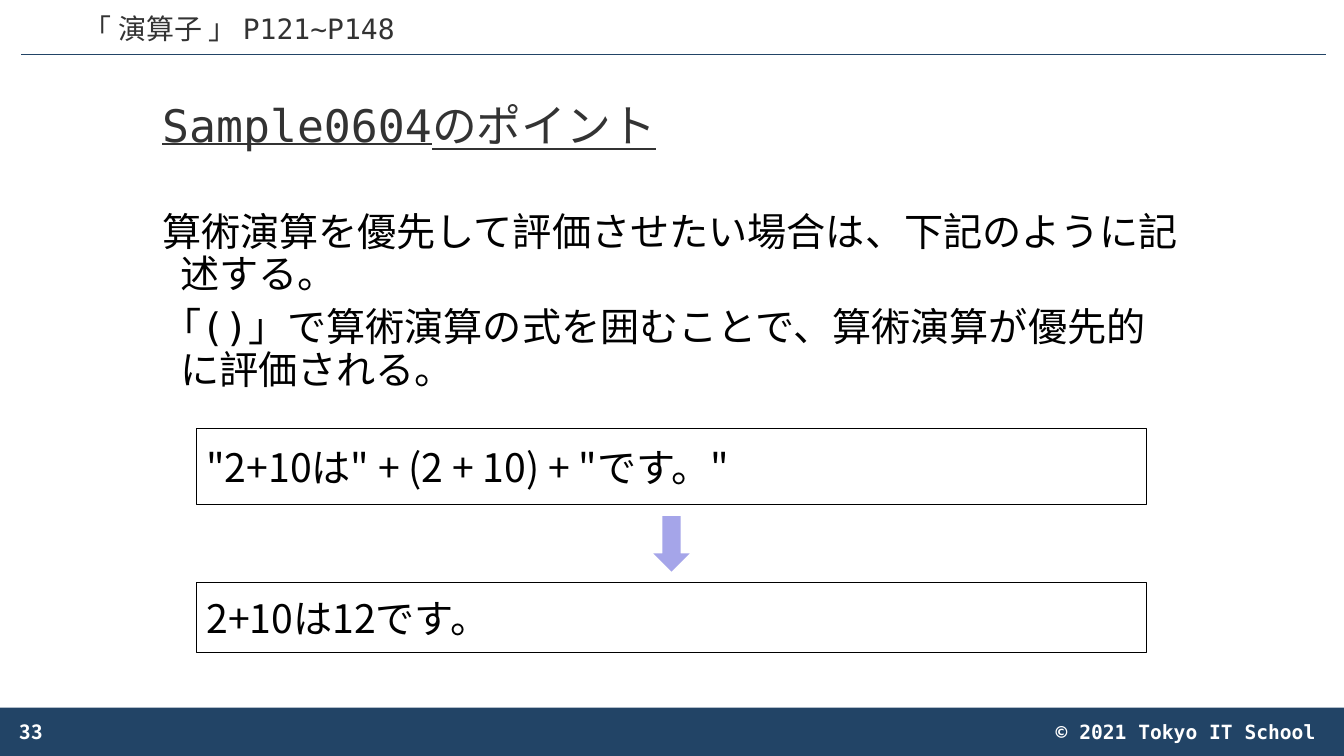
import dataclasses

import pptx
import pptx.dml.color
import pptx.enum.shapes
import pptx.enum.text
import pptx.oxml
import pptx.oxml.ns
import pptx.util

COLOURS = {"navy": "224466", "ink": "333333", "black": "000000",
           "white": "FFFFFF", "lilac": "A5A5E9"}
MONO, GOTHIC = "DejaVu Sans Mono", "Noto Sans CJK JP"
SHAPE = pptx.enum.shapes.MSO_SHAPE
ALIGN = pptx.enum.text.PP_ALIGN
ANCHOR = pptx.enum.text.MSO_ANCHOR


@dataclasses.dataclass
class Box:
    left: float
    top: float
    width: float
    height: float

    def inner(self, left, top, width, height):
        """Return an inner box given in percent of this one."""
        return Box(self.left + self.width * left / 100,
                   self.top + self.height * top / 100,
                   self.width * width / 100, self.height * height / 100)

    def place(self):
        return [round(length) for length in dataclasses.astuple(self)]


def colour(name):
    return pptx.dml.color.RGBColor.from_string(COLOURS[name])


def write(shape, lines, font, anchor=ANCHOR.MIDDLE, **para_format):
    frame = shape.text_frame
    frame_format = {"word_wrap": True, "vertical_anchor": anchor,
                    "auto_size": pptx.enum.text.MSO_AUTO_SIZE.NONE}
    for name, value in frame_format.items():
        setattr(frame, name, value)
    frame.text = "\n".join(lines)
    for para in frame.paragraphs:
        for name, value in para_format.items():
            setattr(para, name, value)
        for span in para.runs:
            for name, value in font.items():
                if name == "color":
                    span.font.color.rgb = colour(value)
                else:
                    setattr(span.font, name, value)
            east_asian = pptx.oxml.parse_xml(
                f'<a:ea {pptx.oxml.ns.nsdecls("a")} typeface="{GOTHIC}"/>')
            span.font._element.find(pptx.oxml.ns.qn("a:latin")).addnext(east_asian)


def font_of(size, color, name=MONO, **extra):
    return {"size": pptx.util.Pt(size), "color": color, "name": name, **extra}


def add_text(page, box, lines, font, **text_format):
    shape = page.shapes.add_textbox(*box.place())
    write(shape, lines, font, **text_format)
    return shape


def add_block(page, box, kind, fill=None, line=None):
    shape = page.shapes.add_shape(kind, *box.place())
    shape.shadow.inherit = False
    if fill:
        shape.fill.solid()
        shape.fill.fore_color.rgb = colour(fill)
    else:
        shape.fill.background()
    if line:
        shape.line.color.rgb = colour(line)
        shape.line.width = pptx.util.Pt(0.75)
    else:
        shape.line.fill.background()
    return shape


def add_header(page, box, label):
    left, top, width, _ = box.inner(1.57, 100, 97.08, 0).place()
    rule = page.shapes.add_connector(
        pptx.enum.shapes.MSO_CONNECTOR.STRAIGHT, left, top, left + width, top)
    rule.line.color.rgb = colour("navy")
    rule.line.width = pptx.util.Pt(0.5)
    rule._element.spPr.append(pptx.oxml.parse_xml(
        f'<a:effectLst {pptx.oxml.ns.nsdecls("a")}/>'))
    add_text(page, box.inner(0, 0, 35.61, 92.6), [label], font_of(20, "ink"),
             anchor=ANCHOR.BOTTOM, alignment=ALIGN.CENTER, line_spacing=0.9)


def add_title(page, box, text):
    title = page.shapes.title
    for name, length in zip(("left", "top", "width", "height"), box.place()):
        setattr(title, name, length)
    write(title, [text], font_of(32, "ink", underline=True),
          alignment=ALIGN.LEFT, line_spacing=0.9)


def add_points(page, box, points):
    shape = add_text(page, box, points, font_of(28, "black"),
                     anchor=ANCHOR.TOP, line_spacing=0.9)
    hang = pptx.util.Inches(0.18)
    for para in shape.text_frame.paragraphs:
        properties = para._p.get_or_add_pPr()
        properties.set("marL", str(hang))
        properties.set("indent", str(-hang))
    for para in shape.text_frame.paragraphs[1:]:
        para.space_before = pptx.util.Pt(7.5)


def add_example(page, box, code, result):
    """Show a code box above its result, with an arrow between them."""
    for text, top, height in ((code, 0, 34.23), (result, 68.92, 31.08)):
        frame = add_block(page, box.inner(0, top, 100, height),
                          SHAPE.RECTANGLE, line="black")
        write(frame, [text], font_of(28, "black", GOTHIC), alignment=ALIGN.LEFT)
    add_block(page, box.inner(48.09, 39.19, 3.82, 24.77),
              SHAPE.DOWN_ARROW, fill="lilac")


def add_footer(page, box, number, notice):
    add_block(page, box, SHAPE.RECTANGLE, fill="navy")
    add_text(page, box.inner(0.75, 8.33, 22.49, 83.33), [number],
             font_of(14, "white", GOTHIC, bold=True))
    add_text(page, box.inner(62.52, 14.58, 36.13, 70.83), [notice],
             font_of(14, "white", bold=True),
             anchor=ANCHOR.TOP, alignment=ALIGN.RIGHT)


def main():
    deck = pptx.Presentation()
    deck.slide_width = pptx.util.Inches(13.34)
    deck.slide_height = pptx.util.Inches(7.5)
    page = deck.slides.add_slide(deck.slide_layouts.get_by_name("Title Only"))
    whole = Box(0, 0, deck.slide_width, deck.slide_height)

    add_footer(page, whole.inner(0, 93.6, 100, 6.4), "33", "© 2021 Tokyo IT School")
    add_header(page, whole.inner(0, 0, 100, 7.2), "「 演算子 」 P121~P148")
    add_title(page, whole.inner(11.32, 9.07, 77.36, 15.6), "Sample0604のポイント")
    add_points(page, whole.inner(11.32, 27.47, 77.36, 63.47), [
        "算術演算を優先して評価させたい場合は、下記のように記述する。",
        "「()」で算術演算の式を囲むことで、算術演算が優先的に評価される。"])
    add_example(page, whole.inner(14.62, 56.67, 70.69, 29.6),
                '"2+10は" + (2 + 10) + "です。"', "2+10は12です。")
    deck.save("out.pptx")


if __name__ == "__main__":
    main()
